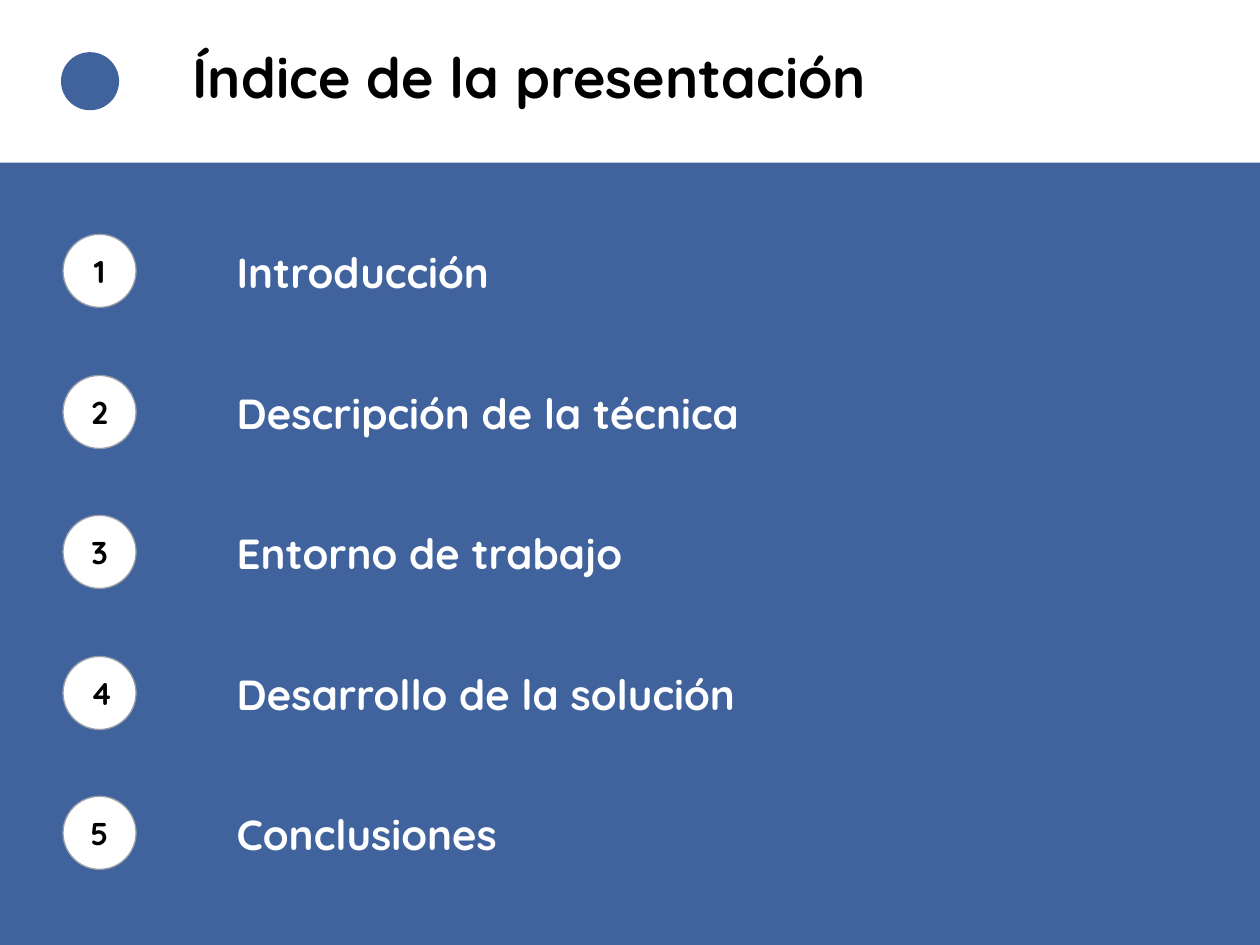
from pptx import Presentation
from pptx.dml.color import RGBColor
from pptx.enum.shapes import MSO_SHAPE
from pptx.enum.text import MSO_ANCHOR, MSO_AUTO_SIZE, PP_ALIGN
from pptx.util import Emu, Pt

RECTANGLE, OVAL = MSO_SHAPE.RECTANGLE, MSO_SHAPE.OVAL
MIDDLE = MSO_ANCHOR.MIDDLE
LEFT, CENTER = PP_ALIGN.LEFT, PP_ALIGN.CENTER
NO_FIT, GROW = MSO_AUTO_SIZE.NONE, MSO_AUTO_SIZE.SHAPE_TO_FIT_TEXT

BLUE, WHITE, BLACK, GRAY = "40639E", "FFFFFF", "000000", "999FA9"
TOPICS = [
    "Introducción",
    "Descripción de la técnica",
    "Entorno de trabajo",
    "Desarrollo de la solución",
    "Conclusiones",
]
FIRST_TOP, ROW_PITCH = 186, 111.6


def px(length):
    """Convert px (100 to the inch) to EMU."""
    return Emu(length * 9144)


def color(hex_string):
    return RGBColor.from_string(hex_string)


def write_text(frame, text, size=24, ink=WHITE, align=LEFT, before=0, spacing=None):
    para = frame.paragraphs[0]
    para.alignment = align
    para.space_before = Pt(before)
    if spacing:
        para.line_spacing = spacing
    span = para.add_run()
    span.text = text
    span.font.name = SlideBuilder.font
    span.font.size = Pt(size)
    span.font.bold = True
    span.font.color.rgb = color(ink)


class SlideBuilder:
    """Holds the style and the slide being filled."""

    font = "Quicksand"

    def __init__(self, slide, background):
        self.slide = slide
        fill = slide.background.fill
        fill.solid()
        fill.fore_color.rgb = color(background)

    def shape(self, kind, left, top, width, height, fill, line=None, weight=0.75):
        shape = self.slide.shapes.add_shape(
            kind, px(left), px(top), px(width), px(height))
        shape.shadow.inherit = False
        shape.fill.solid()
        shape.fill.fore_color.rgb = color(fill)
        if line:
            shape.line.color.rgb = color(line)
            shape.line.width = Pt(weight)
        else:
            shape.line.fill.background()

    def text(self, text, left, top, width, height, inset=10, wrap=True,
             fit=NO_FIT, **text_format):
        box = self.slide.shapes.add_textbox(
            px(left), px(top), px(width), px(height))
        frame = box.text_frame
        frame.word_wrap = wrap
        frame.auto_size = fit
        frame.vertical_anchor = MIDDLE
        frame.margin_left = frame.margin_right = px(10)
        frame.margin_top = frame.margin_bottom = px(inset)
        write_text(frame, text, **text_format)

    def topic(self, number, title, top):
        self.shape(OVAL, 50, top, 58, 58, WHITE, GRAY)
        self.text(str(number), 62, top + 9, 34, 40, inset=5, wrap=False,
                  fit=GROW, size=18, ink=BLACK, align=CENTER)
        self.text(title, 178, top + 5, 626, 49, before=6)


def main():
    deck = Presentation()
    deck.slide_width, deck.slide_height = px(1000), px(750)
    page = SlideBuilder(deck.slides.add_slide(deck.slide_layouts[6]), BLUE)

    # Header band
    page.shape(RECTANGLE, 0, 0, 1010, 129, WHITE)
    page.shape(OVAL, 50, 43, 43, 43, BLUE, BLUE, weight=2.25)
    page.text("Índice de la presentación", 143, 35, 750, 58,
              size=32, ink=BLACK, spacing=0.9)

    # Numbered topics
    for index, title in enumerate(TOPICS):
        page.topic(index + 1, title, FIRST_TOP + round(index * ROW_PITCH))

    deck.save("out.pptx")


if __name__ == "__main__":
    main()
